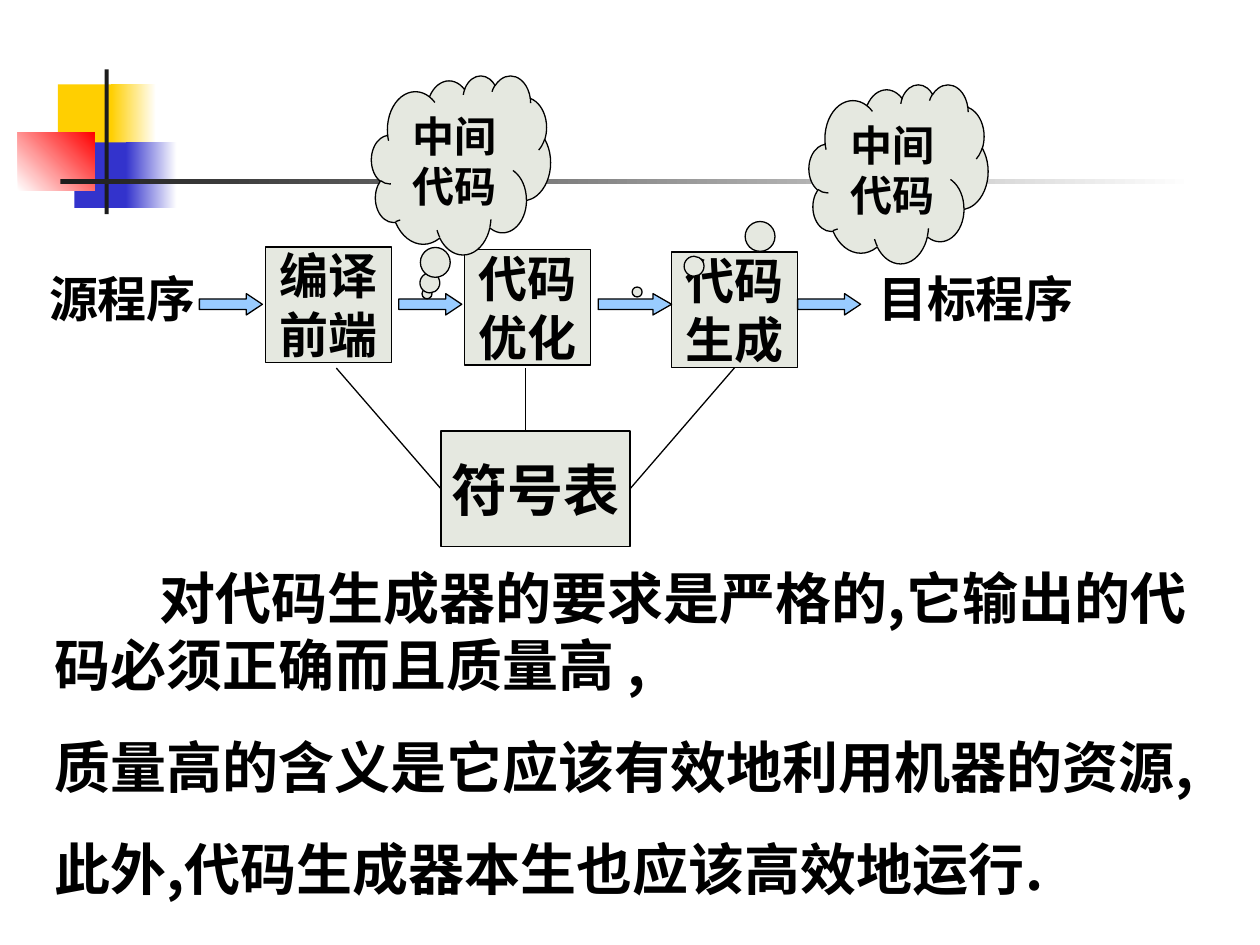
import dataclasses
import typing

import lxml.etree
import pptx
import pptx.dml.color
import pptx.enum.shapes
import pptx.enum.text
import pptx.oxml.ns
import pptx.util

Cm = pptx.util.Cm
Pt = pptx.util.Pt
Kind = pptx.enum.shapes.MSO_SHAPE
Align = pptx.enum.text.PP_ALIGN
Anchor = pptx.enum.text.MSO_ANCHOR
qn = pptx.oxml.ns.qn

FONT = "Noto Sans CJK SC"
HUES = {
    "gold": "FFCF01",
    "blue": "3333CC",
    "red": "FF0000",
    "dark": "1C1C1C",
    "white": "FFFFFF",
    "black": "000000",
    "pale": "E5E8E0",
    "sky": "99CCFF",
}


@dataclasses.dataclass
class Area:
    x: float
    y: float
    w: float
    h: float

    def size(self) -> list:
        return [Cm(n) for n in (self.x, self.y, self.w, self.h)]


@dataclasses.dataclass
class Block:
    area: Area
    fill: str
    fade: str = ""
    angle: float = 0


@dataclasses.dataclass
class Node:
    area: Area
    lines: tuple
    size: int = 28
    kind: typing.Any = Kind.RECTANGLE
    tune: tuple = ()
    wrap: bool = False


@dataclasses.dataclass
class Label:
    area: Area
    lines: tuple
    size: int
    align: typing.Any = Align.LEFT
    gap: float = 0
    indent: int = 0


@dataclasses.dataclass
class Link:
    start: tuple
    end: tuple
    head: typing.Any = None
    tail: typing.Any = None


def tint(name: str) -> pptx.dml.color.RGBColor:
    return pptx.dml.color.RGBColor.from_string(HUES[name])


def apply(item: typing.Any, style: dict) -> None:
    for key, value in style.items():
        setattr(item, key, value)


def write(frame: typing.Any, lines: tuple, size: int, style: dict) -> None:
    for num, line in enumerate(lines):
        para = frame.paragraphs[0] if num == 0 else frame.add_paragraph()
        apply(para, style)
        run = para.add_run()
        run.text = line
        apply(run.font, {"size": Pt(size), "bold": True, "name": FONT})
        run.font.color.rgb = tint("black")
        east = lxml.etree.SubElement(run.font._element, qn("a:ea"))
        east.set("typeface", FONT)


def shape(slide: typing.Any, kind: typing.Any, area: Area, fill: str) -> typing.Any:
    item = slide.shapes.add_shape(kind, *area.size())
    item.shadow.inherit = False
    item.fill.solid()
    item.fill.fore_color.rgb = tint(fill)
    return item


def edge(item: typing.Any) -> None:
    item.line.color.rgb = tint("black")
    item.line.width = Pt(0.75)


def paint(slide: typing.Any, block: Block) -> None:
    item = shape(slide, Kind.RECTANGLE, block.area, block.fill)
    item.line.fill.background()
    if block.fade:
        item.fill.gradient()
        item.fill.gradient_angle = block.angle
        for stop, name in zip(item.fill.gradient_stops, (block.fill, block.fade)):
            stop.color.rgb = tint(name)


def place(slide: typing.Any, node: Node) -> typing.Any:
    item = shape(slide, node.kind, node.area, "pale")
    edge(item)
    for num, value in enumerate(node.tune):
        item.adjustments[num] = value
    frame = item.text_frame
    apply(frame, {"word_wrap": node.wrap, "vertical_anchor": Anchor.MIDDLE})
    write(frame, node.lines, node.size, {"alignment": Align.CENTER})
    return item


def point(slide: typing.Any, area: Area) -> None:
    item = shape(slide, Kind.RIGHT_ARROW, area, "sky")
    edge(item)
    item.adjustments[1] = 0.75 * area.w / 1.27


def label(slide: typing.Any, note: Label) -> None:
    frame = slide.shapes.add_textbox(*note.area.size()).text_frame
    frame.word_wrap = True
    style = {"alignment": note.align, "space_before": Pt(note.gap)}
    write(frame, note.lines, note.size, style)
    if note.indent:
        props = frame.paragraphs[0]._p.get_or_add_pPr()
        props.set("indent", str(Pt(note.indent)))


def join(slide: typing.Any, link: Link) -> None:
    ends = [Cm(n) for n in link.start + link.end]
    line = slide.shapes.add_connector(pptx.enum.shapes.MSO_CONNECTOR.STRAIGHT, *ends)
    if link.head:
        line.begin_connect(*link.head)
    if link.tail:
        line.end_connect(*link.tail)
    edge(line)
    lxml.etree.SubElement(line._element.spPr, qn("a:effectLst"))


def main() -> None:
    """Build the compiler pipeline slide and save it."""
    deck = pptx.Presentation()
    apply(deck, {"slide_width": Cm(25.4), "slide_height": Cm(19.05)})
    slide = deck.slides.add_slide(deck.slide_layouts[6])

    for block in (
        Block(Area(1.17, 1.7, 1.22, 1.32), "gold"),
        Block(Area(2.24, 1.7, 0.91, 1.32), "gold", "white"),
        Block(Area(1.5, 2.87, 1.17, 1.32), "blue"),
        Block(Area(2.54, 2.87, 1.02, 1.32), "blue", "white"),
        Block(Area(0.36, 2.67, 1.55, 1.17), "white", "red", 45),
        Block(Area(2.11, 1.4, 0.08, 2.92), "dark"),
        Block(Area(1.22, 3.61, 22.86, 0.1), "dark", "white"),
    ):
        paint(slide, block)

    place(slide, Node(Area(5.36, 4.98, 2.54, 2.33), ("编译", "前端")))
    place(slide, Node(Area(9.37, 5.03, 2.54, 2.33), ("代码", "优化")))
    gen = place(slide, Node(Area(13.54, 5.08, 2.54, 2.33), ("代码", "生成")))
    table = place(slide, Node(Area(8.89, 8.69, 3.81, 2.33), ("符号表",), 32))

    for num, wide in enumerate((1.27, 1.27, 1.48, 1.27), 1):
        point(slide, Area(4.02 * num, 5.92, wide, 0.43))

    for link in (
        Link((6.78, 7.42), (8.89, 9.86), tail=(table, 1)),
        Link((10.59, 7.42), (10.59, 8.69)),
        Link((14.81, 7.41), (12.7, 9.86), (gen, 2), (table, 3)),
    ):
        join(slide, link)

    for x, y, tune in ((7.49, 1.52, (-0.19, 0.72)), (16.31, 1.7, (-1.46, 0.66))):
        area = Area(x, y, 3.61, 3.61)
        place(slide, Node(area, ("中间代码",), 24, Kind.CLOUD_CALLOUT, tune, True))

    body = (
        "对代码生成器的要求是严格的,它输出的代码必须正确而且质量高 ,",
        "质量高的含义是它应该有效地利用机器的资源,",
        "此外,代码生成器本生也应该高效地运行.",
    )
    for note in (
        Label(Area(0.74, 5.28, 3.61, 1.45), ("源程序",), 28),
        Label(Area(17.35, 5.28, 4.65, 1.45), ("目标程序",), 28, Align.CENTER),
        Label(Area(0.84, 11.23, 23.85, 7.6), body, 32, gap=20, indent=60),
    ):
        label(slide, note)

    deck.save("out.pptx")


if __name__ == "__main__":
    main()
